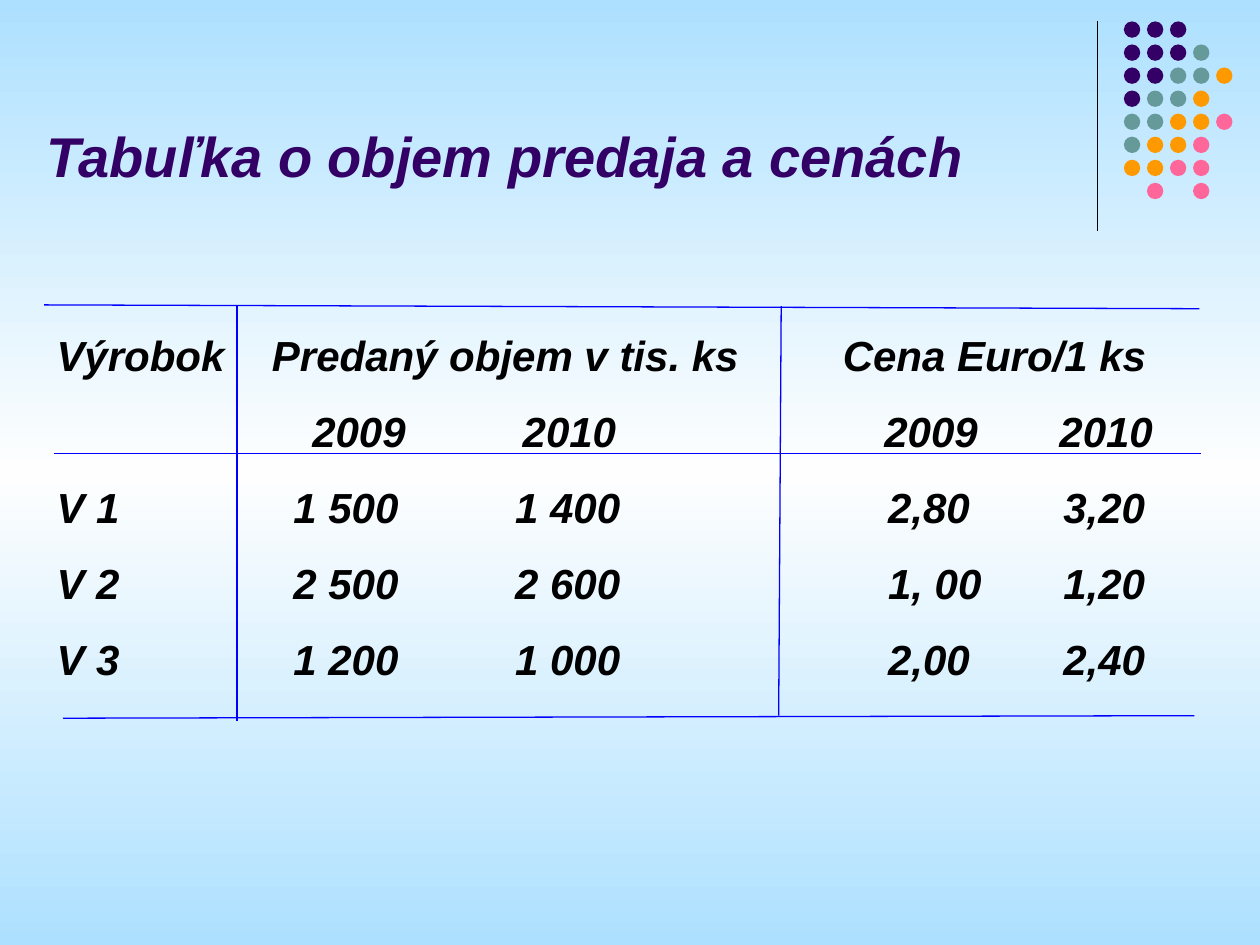
from copy import deepcopy

from pptx import Presentation
from pptx.dml.color import RGBColor
from pptx.enum.shapes import MSO_CONNECTOR as Connector, MSO_SHAPE as Shape
from pptx.enum.text import MSO_ANCHOR as Anchor
from pptx.oxml.ns import qn
from pptx.oxml.xmlchemy import OxmlElement
from pptx.util import Inches, Pt

PURPLE = RGBColor(0x33, 0x00, 0x66)
TEAL = RGBColor(0x66, 0x99, 0x99)
ORANGE = RGBColor(0xFF, 0x99, 0x00)
PINK = RGBColor(0xFF, 0x66, 0x99)
BLACK = RGBColor(0x00, 0x00, 0x00)
BLUE = RGBColor(0x00, 0x00, 0xFF)
SKY = RGBColor(0xAD, 0xE0, 0xFF)
WHITE = RGBColor(0xFE, 0xFE, 0xFE)

# Dot ornament: one letter per dot, a blank for a gap
DOT_COLORS = {"P": PURPLE, "T": TEAL, "O": ORANGE, "K": PINK}
DOT_ROWS = ["PPP", "PPPT", "PPTTO", "PTTO", "TTOOK", "TOOK", "OOKK", " K K"]
DOT_LEFT, DOT_TOP, DOT_PITCH, DOT_SIZE = 8.92, 0.17, 0.183, 0.13

# Column starts, in inches from the left edge of the sales text
GROUP_TABS = [1.71, 6.24]
YEAR_TABS = [2.03, 3.7, 6.57, 7.96]
VALUE_TABS = [1.88, 3.64, 6.6, 7.99]
SALES_ROWS = [
    (GROUP_TABS, ["Výrobok", "Predaný objem v tis. ks", "Cena Euro/1 ks"]),
    (YEAR_TABS, ["", "2009", "2010", "2009", "2010"]),
    (VALUE_TABS, ["V 1", "1 500", "1 400", "2,80", "3,20"]),
    (VALUE_TABS, ["V 2", "2 500", "2 600", "1, 00", "1,20"]),
    (VALUE_TABS, ["V 3", "1 200", "1 000", "2,00", "2,40"]),
]
SALES_RULES = [
    (0.35, 2.42, 9.52, 2.45),
    (0.43, 3.6, 9.53, 3.6),
    (0.5, 5.7, 9.48, 5.68),
    (1.88, 2.42, 1.88, 5.72),
    (6.2, 2.43, 6.18, 5.68),
]


def paint_background(slide):
    fill = slide.background.fill
    fill.gradient()
    fill.gradient_angle = 270
    stop_list = slide.element.find(".//" + qn("a:gsLst"))
    stop_list.insert(1, deepcopy(stop_list[0]))
    for stop, position, color in zip(fill.gradient_stops, (0, 0.5, 1), (SKY, WHITE, SKY)):
        stop.position = position
        stop.color.rgb = color


def add_rule(slide, ends, color):
    rule = slide.shapes.add_connector(Connector.STRAIGHT, *map(Inches, ends))
    rule.line.color.rgb = color
    rule.line.width = Pt(0.75)
    rule._element.spPr.append(OxmlElement("a:effectLst"))


def add_dots(slide):
    for row, letters in enumerate(DOT_ROWS):
        for column, letter in enumerate(letters):
            if letter == " ":
                continue
            dot = slide.shapes.add_shape(
                Shape.OVAL,
                Inches(DOT_LEFT + column * DOT_PITCH), Inches(DOT_TOP + row * DOT_PITCH),
                Inches(DOT_SIZE), Inches(DOT_SIZE))
            dot.shadow.inherit = False
            dot.fill.solid()
            dot.fill.fore_color.rgb = DOT_COLORS[letter]
            dot.line.fill.background()


def add_text_frame(slide, box, anchor):
    frame = slide.shapes.add_textbox(*map(Inches, box)).text_frame
    frame.word_wrap = True
    frame.vertical_anchor = anchor
    return frame


def style_text(paragraph, size, color):
    for run in paragraph.runs:
        font = run.font
        font.name, font.size = "Arial", Pt(size)
        font.bold = font.italic = True
        font.color.rgb = color


def set_tabs(paragraph, positions):
    tab_list = OxmlElement("a:tabLst")
    for position in positions:
        tab = OxmlElement("a:tab")
        tab.set("pos", str(Inches(position)))
        tab.set("algn", "l")
        tab_list.append(tab)
    paragraph._p.get_or_add_pPr().append(tab_list)


def add_title(slide):
    title = add_text_frame(slide, (0.27, 0.85, 8.25, 0.7), Anchor.BOTTOM).paragraphs[0]
    title.text = "Tabuľka o objem predaja a cenách"
    style_text(title, 32, PURPLE)


def add_sales(slide):
    frame = add_text_frame(slide, (0.35, 2.45, 9.29, 3.64), Anchor.TOP)
    for index, (tabs, cells) in enumerate(SALES_ROWS):
        row = frame.add_paragraph() if index else frame.paragraphs[0]
        row.text = "\t".join(cells)
        set_tabs(row, tabs)
        row.line_spacing = 1.3
        if index:
            row.space_before = Pt(6)
        style_text(row, 24, BLACK)


def main():
    deck = Presentation()
    deck.slide_width, deck.slide_height = Inches(10), Inches(7.5)
    slide = deck.slides.add_slide(deck.slide_layouts[6])
    paint_background(slide)

    # Corner ornament
    add_rule(slide, (8.71, 0.17, 8.71, 1.83), BLACK)
    add_dots(slide)

    # Title, sales figures and the rules between them
    add_title(slide)
    add_sales(slide)
    for ends in SALES_RULES:
        add_rule(slide, ends, BLUE)

    deck.save("out.pptx")


if __name__ == "__main__":
    main()
